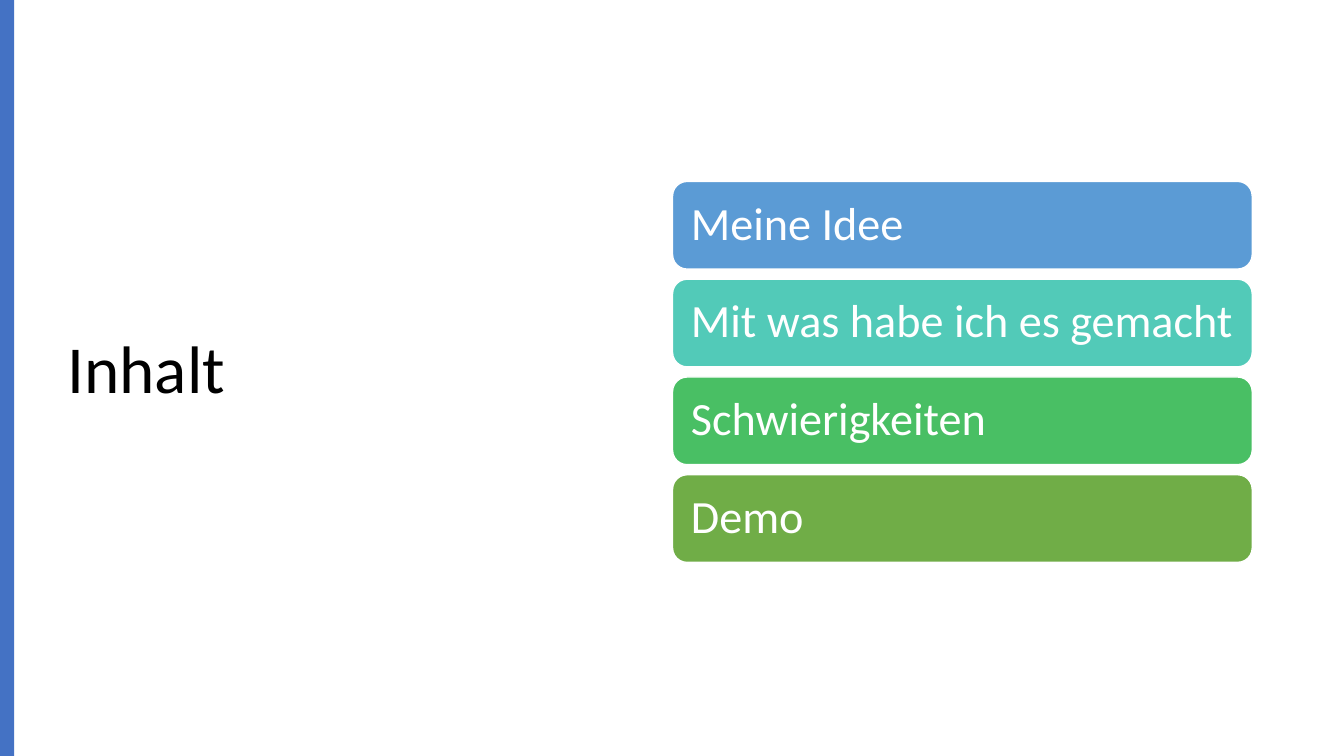
"""Build the contents slide with a title and four coloured topic bars."""
from pptx import Presentation
from pptx.dml.color import RGBColor
from pptx.enum.shapes import MSO_SHAPE
from pptx.enum.text import MSO_ANCHOR, PP_ALIGN
from pptx.util import Inches, Pt

WHITE = RGBColor(0xFF, 0xFF, 0xFF)
BLACK = RGBColor(0x00, 0x00, 0x00)
ACCENT = RGBColor(0x44, 0x72, 0xC4)
TOPICS = [
    ("Meine Idee", RGBColor(0x5B, 0x9B, 0xD5)),
    ("Mit was habe ich es gemacht", RGBColor(0x52, 0xCA, 0xB8)),
    ("Schwierigkeiten", RGBColor(0x49, 0xBF, 0x64)),
    ("Demo", RGBColor(0x70, 0xAD, 0x47)),
]
BAR_LEFT, BAR_TOP, BAR_WIDTH, BAR_HEIGHT, BAR_STEP = 6.67, 1.8, 5.75, 0.87, 0.97


def write(sp, text, size, color):
    tf = sp.text_frame
    tf.text = text
    tf.word_wrap = True
    tf.vertical_anchor = MSO_ANCHOR.MIDDLE
    p = tf.paragraphs[0]
    p.alignment = PP_ALIGN.LEFT
    p.line_spacing = 0.9
    r = p.runs[0]
    r.font.name = "Calibri"
    r.font.size = Pt(size)
    r.font.color.rgb = color
    return tf


prs = Presentation()
prs.slide_width, prs.slide_height = Inches(13.33), Inches(7.5)
s = prs.slides.add_slide(prs.slide_layouts[5])

title = s.shapes.title
title.left, title.top = Inches(0.57), Inches(0.68)
title.width, title.height = Inches(5.67), Inches(6.02)
write(title, "Inhalt", 48, BLACK)

stripe = s.shapes.add_shape(MSO_SHAPE.RECTANGLE, 0, 0, Inches(0.14), prs.slide_height)
stripe.shadow.inherit = False
stripe.fill.solid()
stripe.fill.fore_color.rgb = ACCENT
stripe.line.fill.background()

for row, (topic, color) in enumerate(TOPICS):
    sp = s.shapes.add_shape(
        MSO_SHAPE.ROUNDED_RECTANGLE,
        Inches(BAR_LEFT), Inches(BAR_TOP + row * BAR_STEP),
        Inches(BAR_WIDTH), Inches(BAR_HEIGHT),
    )
    sp.shadow.inherit = False
    sp.fill.solid()
    sp.fill.fore_color.rgb = color
    sp.line.color.rgb = WHITE
    sp.line.width = Pt(1)
    tf = write(sp, topic, 33, WHITE)
    tf.margin_left, tf.margin_right = Inches(0.14), Inches(0.1)
    tf.margin_top = tf.margin_bottom = 0

prs.save("out.pptx")
